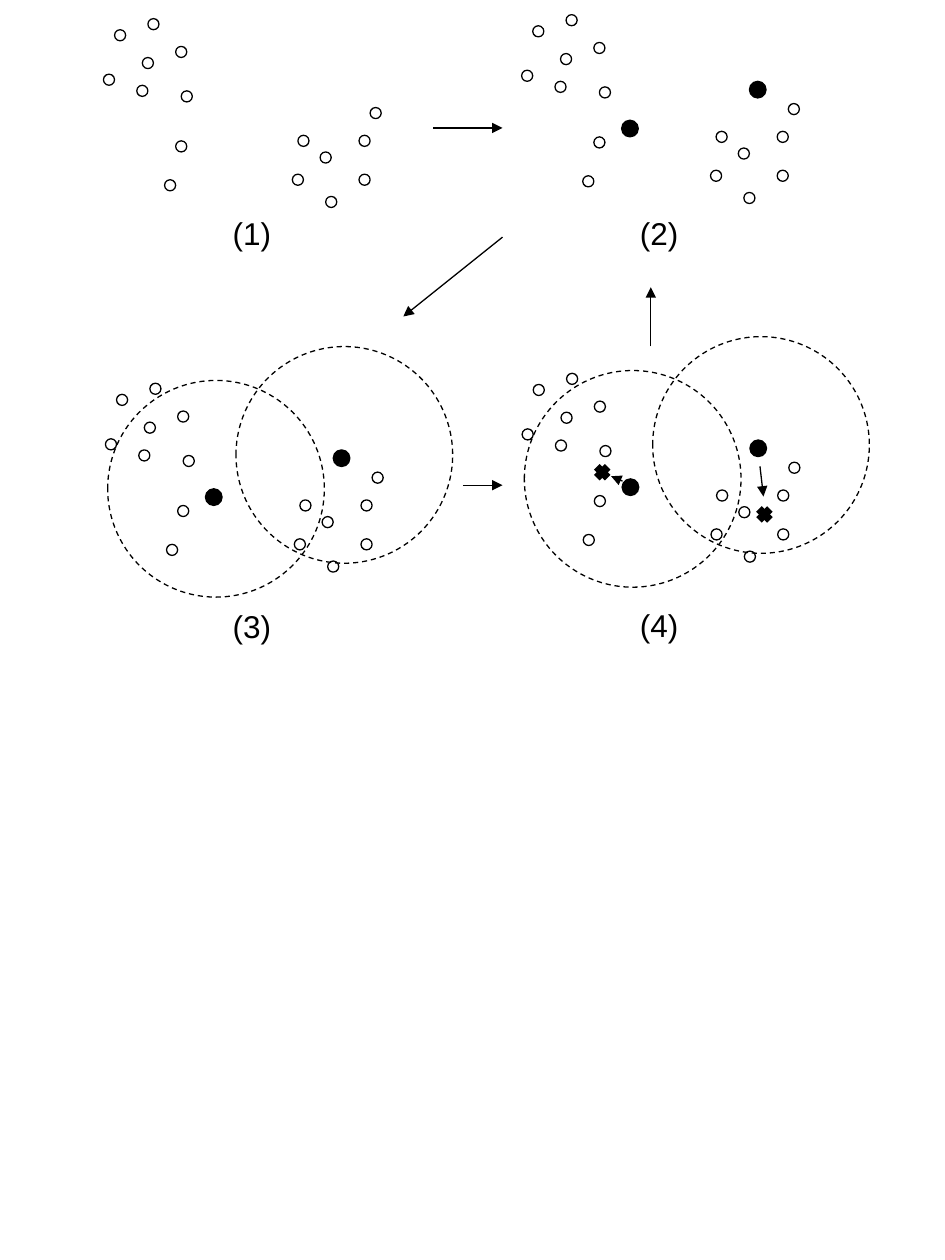
"""Draw four panels showing the steps of a two-cluster k-means iteration."""
from dataclasses import dataclass

from pptx import Presentation
from pptx.dml.color import RGBColor as RGB
from pptx.enum.dml import MSO_LINE
from pptx.enum.shapes import MSO_CONNECTOR as CONN, MSO_SHAPE as SHAPE
from pptx.enum.text import MSO_AUTO_SIZE as AUTO
from pptx.oxml.ns import qn
from pptx.util import Cm, Pt
from lxml.etree import SubElement


@dataclass(frozen=True)
class Theme:
    ink: RGB = RGB(0, 0, 0)
    paper: RGB = RGB(255, 255, 255)
    font: str = "Arial"
    label: Pt = Pt(18)
    thin: Pt = Pt(0.75)
    thick: Pt = Pt(4.5)


T = Theme()
STEP = 2.8 / 25


def add_circle(s, origin, pos, size, fill=None):
    x, y = (o + STEP * n for o, n in zip(origin, pos))
    sp = s.shapes.add_shape(SHAPE.OVAL, Cm(x), Cm(y), Cm(size * STEP), Cm(size * STEP))
    sp.shadow.inherit = False
    sp.line.color.rgb = T.ink
    sp.line.width = T.thin
    if fill is None:
        sp.fill.background()
        sp.line.dash_style = MSO_LINE.DASH
    else:
        sp.fill.solid()
        sp.fill.fore_color.rgb = fill


def add_line(shapes, ends, width, arrow=False):
    line = shapes.add_connector(CONN.STRAIGHT, *(Cm(v) for v in ends))
    line.line.color.rgb = T.ink
    line.line.width = width
    if arrow:
        SubElement(line.line._get_or_add_ln(), qn("a:tailEnd"), type="triangle")
    SubElement(line._element.spPr, qn("a:effectLst"))


prs = Presentation()
prs.slide_width, prs.slide_height = Cm(19.05), Cm(25.4)
s = prs.slides.add_slide(prs.slide_layouts[6])

points = [
    (0, 0), (5, 5), (-2, 8), (4, 10), (6, -2), (11, 3), (12, 11), (11, 20), (9, 27),
    (37, 22), (32, 26), (33, 19), (44, 19), (44, 26), (46, 14), (38, 30),
]
centroids = [(16, 17), (39, 10)]
ranges = [(-1.6, -2.5), (21.5, -8.6)]

panels = [
    ("(1)", (2.31, 0.6), (4.44, 4.19), [], []),
    ("(2)", (10.74, 0.52), (12.65, 4.19), centroids, []),
    ("(3)", (2.35, 7.95), (4.44, 12.12), centroids, ranges),
    ("(4)", (10.75, 7.75), (12.65, 12.1), centroids, ranges),
]
for text, origin, (x, y), centres, circles in panels:
    for pos in points:
        add_circle(s, origin, pos, 2, T.paper)
    for pos in centres:
        add_circle(s, origin, pos, 3, T.ink)
    for pos in circles:
        add_circle(s, origin, pos, 39)

    tf = s.shapes.add_textbox(Cm(x), Cm(y), Cm(1.3), Cm(1.02)).text_frame
    tf.word_wrap = False
    tf.auto_size = AUTO.SHAPE_TO_FIT_TEXT
    p = tf.paragraphs[0]
    p.text = text
    p.font.name, p.font.size, p.font.color.rgb = T.font, T.label, T.ink

centroid_moves = [(15.32, 9.4, 15.39, 10.01), (12.55, 9.7, 12.32, 9.6)]
panel_arrows = [
    (8.73, 2.58, 10.13, 2.58),
    (10.13, 4.78, 8.13, 6.38),
    (9.33, 9.78, 10.13, 9.78),
    (13.12, 6.98, 13.12, 5.79),
]
for ends in centroid_moves + panel_arrows:
    add_line(s.shapes, ends, T.thin, arrow=True)

arm = 0.22
for x, y in [(12.03, 9.41), (15.3, 10.26)]:
    cross = s.shapes.add_group_shape()
    add_line(cross.shapes, (x + arm, y, x, y + arm), T.thick)
    add_line(cross.shapes, (x, y, x + arm, y + arm), T.thick)

prs.save("out.pptx")
